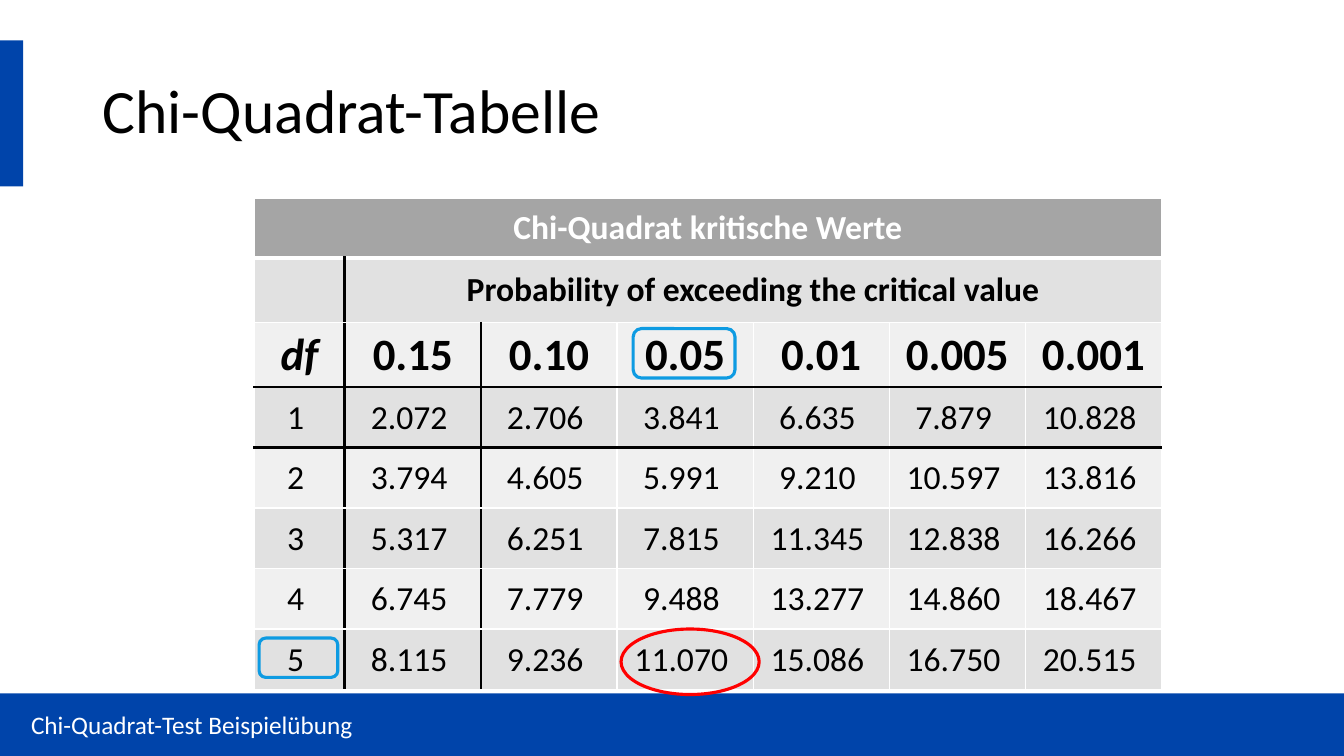
from lxml import etree
from pptx import Presentation
from pptx import util as u
from pptx.dml.color import RGBColor
from pptx.enum import shapes, text
from pptx.oxml import ns

PX = 9144  # EMU; 100 px to the inch
BLUE, BLACK, WHITE = "0044AA", "000000", "FFFFFF"
SKY, RED = "0E9BE2", "FF0000"
HEADER_GREY, DARK_BAND, LIGHT_BAND = "A5A5A5", "E1E1E1", "F0F0F0"

COLUMN_WIDTHS = [90] + [135] * 6
ROW_HEIGHTS = [59, 64, 64] + [60] * 5
PROBABILITIES = ["df", "0.15", "0.10", "0.05", "0.01", "0.005", "0.001"]
CRITICAL_VALUES = [
    ["2.072", "2.706", "3.841", "6.635", "7.879", "10.828"],
    ["3.794", "4.605", "5.991", "9.210", "10.597", "13.816"],
    ["5.317", "6.251", "7.815", "11.345", "12.838", "16.266"],
    ["6.745", "7.779", "9.488", "13.277", "14.860", "18.467"],
    ["8.115", "9.236", "11.070", "15.086", "16.750", "20.515"],
]


def color(value):
    return RGBColor.from_string(value)


def emu(box):
    return [length * PX for length in box]


def write(frame, words, ink, align=text.PP_ALIGN.LEFT, spacing=1.0, **font):
    para = frame.paragraphs[0]
    para.alignment = align
    para.line_spacing = spacing
    span = para.add_run()
    span.text = words
    span.font.color.rgb = color(ink)
    for name, value in {"name": "Calibri", **font}.items():
        setattr(span.font, name, value)


def add_text(page, box, words, ink, size, spacing=1.0):
    frame = page.shapes.add_textbox(*emu(box)).text_frame
    frame.word_wrap = True
    frame.vertical_anchor = text.MSO_ANCHOR.MIDDLE
    write(frame, words, ink, size=u.Pt(size), spacing=spacing)


def add_bar(page, box):
    bar = page.shapes.add_shape(shapes.MSO_SHAPE.RECTANGLE, *emu(box))
    bar.shadow.inherit = False
    bar.fill.solid()
    bar.fill.fore_color.rgb = color(BLUE)
    bar.line.fill.background()


def add_marker(page, kind, box, ink):
    marker = page.shapes.add_shape(kind, *emu(box))
    marker.shadow.inherit = False
    marker.fill.background()
    marker.line.color.rgb = color(ink)
    marker.line.width = u.Pt(2.25)


def add_title(page, box):
    left, top, width, height = box
    add_bar(page, (0, top, 23, height))
    add_text(page, (left, top, width, height), "Chi-Quadrat-Tabelle", BLACK, 44, 0.9)


def add_footer(page, box):
    left, top, width, height = box
    add_bar(page, box)
    add_text(page, (left + 21, top + 11, 693, 40),
             "Chi-Quadrat-Test Beispielübung", WHITE, 18)


def set_borders(cell, edges):
    """Put the four lines, given as (side, colour, points), before the fill."""
    properties = cell._tc.get_or_add_tcPr()
    for index, (side, ink, points) in enumerate(edges):
        line = etree.Element(ns.qn(f"a:ln{side}"), w=str(u.Pt(points)))
        fill = etree.SubElement(line, ns.qn("a:solidFill"))
        etree.SubElement(fill, ns.qn("a:srgbClr"), val=ink)
        properties.insert(index, line)


def cell_edges(row, column):
    def edge(side, is_rule, plain=1):
        return (side, BLACK, 2.25) if is_rule else (side, WHITE, plain)

    def vertical_rule(boundary):
        return (boundary == 1 and row >= 1) or (boundary == 2 and row >= 2)

    return [
        edge("L", vertical_rule(column)),
        edge("R", vertical_rule(column + 1)),
        edge("T", row in (3, 4), 3 if row == 1 else 1),
        edge("B", row in (2, 3), 3 if row == 0 else 1),
    ]


def cell_format(row, column):
    """Return text colour and font values of a cell."""
    size = 32 if row == 2 else 24
    return (WHITE if row == 0 else BLACK), {
        "size": u.Pt(size), "bold": row < 3, "italic": (row, column) == (2, 0)}


def add_critical_values(page, box):
    rows = [["Chi-Quadrat kritische Werte"] + [""] * 6,
            ["", "Probability of exceeding the critical value"] + [""] * 5,
            PROBABILITIES]
    # The space after each value belongs to the text of the table.
    rows += [[f"{value} " for value in [str(degree), *values]]
             for degree, values in enumerate(CRITICAL_VALUES, 1)]
    table = page.shapes.add_table(len(rows), len(rows[0]), *emu(box)).table
    for column, width in zip(table.columns, COLUMN_WIDTHS):
        column.width = width * PX
    for row, height in zip(table.rows, ROW_HEIGHTS):
        row.height = height * PX

    for r, row in enumerate(rows):
        for c, words in enumerate(row):
            cell = table.cell(r, c)
            cell.vertical_anchor = text.MSO_ANCHOR.MIDDLE
            cell.fill.solid()
            band = DARK_BAND if r % 2 else LIGHT_BAND
            cell.fill.fore_color.rgb = color(HEADER_GREY if r == 0 else band)
            set_borders(cell, cell_edges(r, c))
            if r >= 3:
                for side, margin in {"left": 1, "right": 1, "top": 1, "bottom": 0}.items():
                    setattr(cell, f"margin_{side}", margin * PX)
            if words:
                ink, font = cell_format(r, c)
                write(cell.text_frame, words, ink, text.PP_ALIGN.CENTER, **font)
    for r in (0, 1):
        table.cell(r, r).merge(table.cell(r, 6))


def add_markers(page, box):
    left, top = box[:2]
    rounded, oval = shapes.MSO_SHAPE.ROUNDED_RECTANGLE, shapes.MSO_SHAPE.OVAL
    for kind, x, y, width, height, ink in [
        (rounded, 376, 129, 101, 49, SKY),
        (rounded, 5, 436, 78, 39, SKY),
        (oval, 364, 427, 137, 65, RED),
    ]:
        add_marker(page, kind, (left + x, top + y, width, height), ink)


def main():
    deck = Presentation()
    deck.slide_width, deck.slide_height = emu((1333, 750))
    page = deck.slides.add_slide(deck.slide_layouts[6])
    table_box = (252, 197, sum(COLUMN_WIDTHS), sum(ROW_HEIGHTS))
    add_title(page, (92, 40, 1150, 145))
    add_footer(page, (0, 688, 1333, 62))
    add_critical_values(page, table_box)
    add_markers(page, table_box)
    deck.save("out.pptx")


if __name__ == "__main__":
    main()
